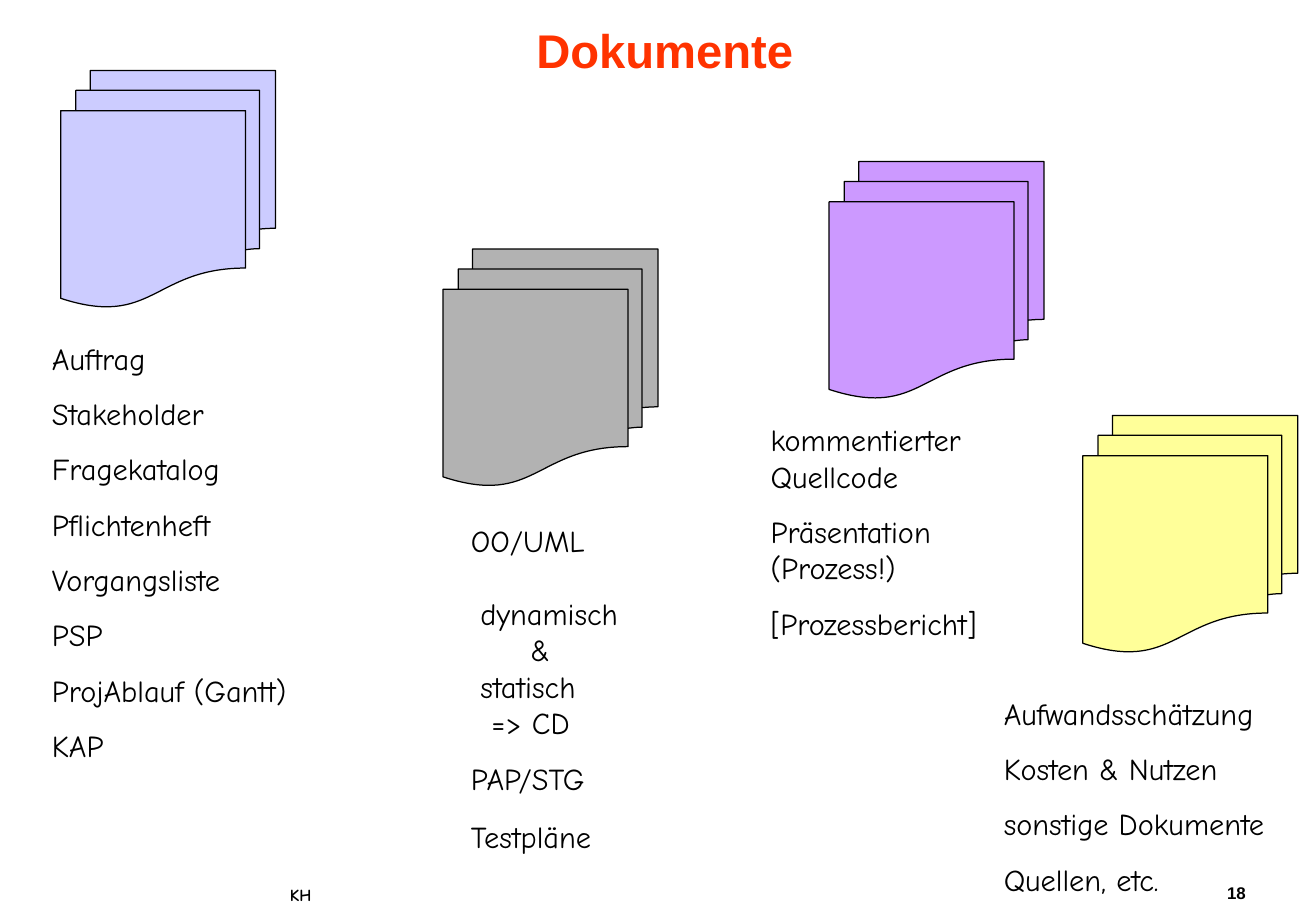
from dataclasses import dataclass

import pptx
import pptx.dml.color
import pptx.enum.shapes
import pptx.enum.text
import pptx.slide
import pptx.util

EMU_PER_PX = 9144  # 100 px to the inch
BODY_FONT = "Comic Neue"
HEADING_FONT = "Arial"


@dataclass
class DocumentStack:
    left: int
    top: int
    color: str


@dataclass
class Line:
    text: str
    indent: int = 0
    space_before: float = 11.2


@dataclass
class TextBox:
    left: int
    top: int
    width: int
    height: int
    lines: list[Line]
    size: int = 18
    font: str = BODY_FONT
    color: str = "000000"
    bold: bool = False
    centered: bool = False
    line_spacing: float = 1.0


STACK_WIDTH, STACK_HEIGHT = 177, 195
STACKS = [
    DocumentStack(50, 58, "CCCCFF"),
    DocumentStack(365, 205, "B2B2B2"),
    DocumentStack(683, 133, "CC99FF"),
    DocumentStack(892, 342, "FFFF99"),
]

TEXT_BOXES = [
    # Footer and page number
    TextBox(229, 723, 44, 27, [Line("KH")], size=10, bold=True),
    TextBox(1001, 723, 83, 27, [Line("18")], size=10, font=HEADING_FONT,
            bold=True, line_spacing=0.95),
    # Title
    TextBox(425, 16, 245, 55, [Line("Dokumente")], size=28, font=HEADING_FONT,
            color="FF3300", bold=True, centered=True, line_spacing=0.95),
    # Planning documents
    TextBox(33, 275, 267, 360, [
        Line("Auftrag"),
        Line("Stakeholder"),
        Line("Fragekatalog"),
        Line("Pflichtenheft"),
        Line("Vorgangsliste"),
        Line("PSP"),
        Line("ProjAblauf (Gantt)"),
        Line("KAP"),
    ]),
    # Code and presentation
    TextBox(625, 342, 267, 192, [
        Line("kommentierter Quellcode"),
        Line("Präsentation\n(Prozess!)"),
        Line("[Prozessbericht]"),
    ]),
    # Costs and other documents
    TextBox(817, 567, 267, 177, [
        Line("Aufwandsschätzung"),
        Line("Kosten & Nutzen"),
        Line("sonstige Dokumente"),
        Line("Quellen, etc."),
    ]),
    # Design models and tests
    TextBox(378, 425, 157, 236, [
        Line("OO/UML"),
        Line("dynamisch", indent=8, space_before=21.6),
        Line("&", indent=49, space_before=0),
        Line("statisch", indent=8, space_before=0),
        Line("=> CD", indent=17, space_before=0),
        Line("PAP/STG"),
    ]),
    TextBox(378, 669, 134, 40, [Line("Testpläne")]),
]


def px(length: int) -> pptx.util.Emu:
    return pptx.util.Emu(length * EMU_PER_PX)


def rgb(color: str) -> pptx.dml.color.RGBColor:
    return pptx.dml.color.RGBColor.from_string(color)


def draw_stack(slide: pptx.slide.Slide, stack: DocumentStack) -> None:
    shape = slide.shapes.add_shape(
        pptx.enum.shapes.MSO_SHAPE.FLOWCHART_MULTIDOCUMENT,
        px(stack.left), px(stack.top), px(STACK_WIDTH), px(STACK_HEIGHT))
    shape.shadow.inherit = False
    shape.fill.solid()
    shape.fill.fore_color.rgb = rgb(stack.color)
    shape.line.color.rgb = rgb("000000")
    shape.line.width = pptx.util.Pt(0.75)


def draw_text(slide: pptx.slide.Slide, box: TextBox) -> None:
    shape = slide.shapes.add_textbox(
        px(box.left), px(box.top), px(box.width), px(box.height))
    text_frame = shape.text_frame
    text_frame.word_wrap = True
    if box.centered:
        text_frame.vertical_anchor = pptx.enum.text.MSO_ANCHOR.MIDDLE
    for index, line in enumerate(box.lines):
        paragraph = text_frame.add_paragraph() if index else text_frame.paragraphs[0]
        paragraph.text = line.text
        paragraph.line_spacing = box.line_spacing
        if index:
            paragraph.space_before = pptx.util.Pt(line.space_before)
        if line.indent:
            paragraph._p.get_or_add_pPr().set("marL", str(px(line.indent)))
        if box.centered:
            paragraph.alignment = pptx.enum.text.PP_ALIGN.CENTER
        for run in paragraph.runs:
            run.font.name = box.font
            run.font.size = pptx.util.Pt(box.size)
            run.font.bold = box.bold
            run.font.color.rgb = rgb(box.color)


def main() -> None:
    presentation = pptx.Presentation()
    presentation.slide_width = px(1084)
    presentation.slide_height = px(750)
    slide = presentation.slides.add_slide(presentation.slide_layouts[6])
    for stack in STACKS:
        draw_stack(slide, stack)
    for box in TEXT_BOXES:
        draw_text(slide, box)
    presentation.save("out.pptx")


if __name__ == "__main__":
    main()
